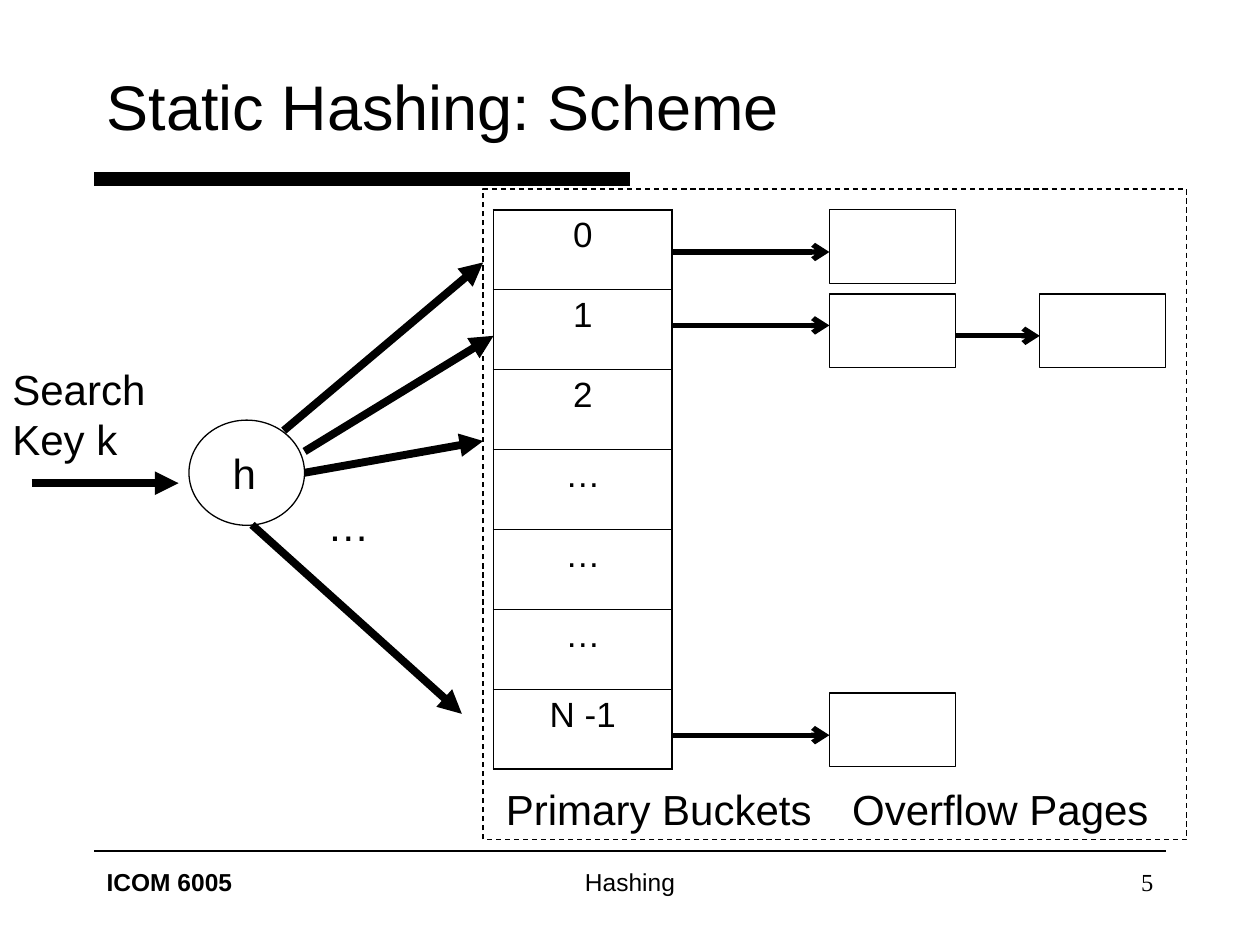
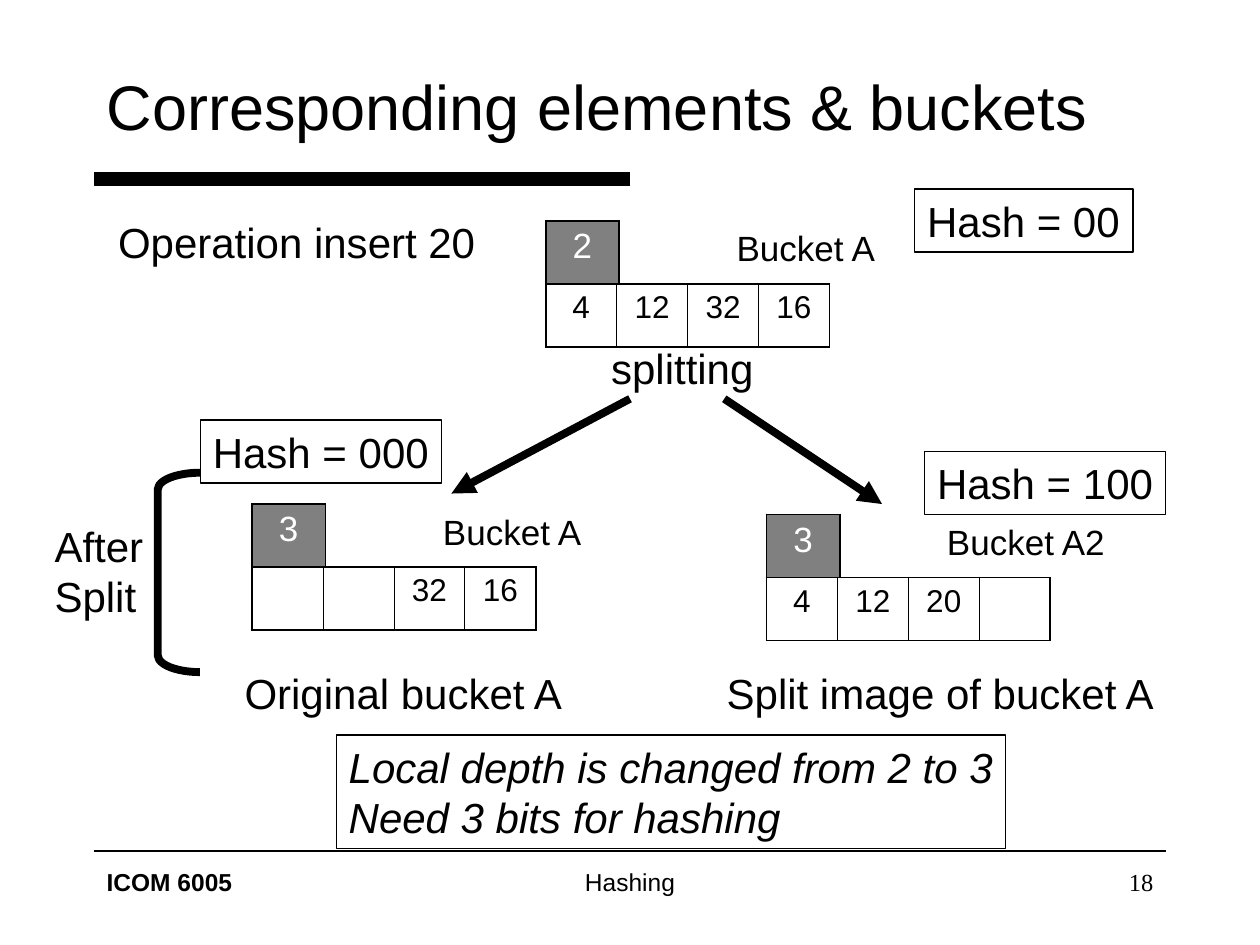
from lxml.etree import SubElement
from pptx import Presentation
from pptx.dml.color import RGBColor
from pptx.enum.dml import MSO_LINE
from pptx.enum.shapes import MSO_CONNECTOR, MSO_SHAPE
from pptx.enum.text import MSO_ANCHOR, MSO_AUTO_SIZE, PP_ALIGN
from pptx.oxml.ns import qn
from pptx.util import Cm, Pt

# All lengths are in centimetres, all text sizes and line widths in points.
INK, GREY, WHITE = "000000", "808080", "FFFFFF"
SANS, SERIF = "Arial", "Times New Roman"
LEFT, RIGHT = 1.9, 23.5
BAND = (LEFT, 3.6, 12.7, 3.6)
RULE = (LEFT, 17.15, RIGHT, 17.15)
FOOT_TOP, FOOT_HIGH = 17.36, 1.27
COURSE, TOPIC = "ICOM 6005", "Hashing"
LINE_HIGH = 1.27

# Static hashing
SLOTS = ["0", "1", "2", "…", "…", "…", "N -1"]
SLOT_AT, SLOT_SIZE = (9.95, 4.23), (3.6, 1.61)
HASH_NODE = (3.81, 8.47, 2.33, 2.12)
FRAME = (9.74, 3.81, 14.18, 13.12)
PAGE_SIZE = (2.54, 1.48)
PAGES = [(16.72, 4.23), (16.72, 5.93), (20.96, 5.93), (16.72, 13.97)]
CHAINS = [(13.55, 5.08, 16.72), (13.55, 6.56, 16.72),
          (13.55, 14.82, 16.72), (19.26, 6.77, 20.96)]
PROBES = [(0.64, 9.74, 3.6, 9.74), (5.72, 8.68, 9.74, 5.29),
          (6.14, 9.1, 9.95, 6.77), (6.14, 9.53, 9.74, 8.89),
          (5.08, 10.58, 9.31, 14.39)]
SCHEME_NOTES = [
    ("h", 4.44, 8.89, 0.97),
    ("Search\nKey k", 0, 7.2, 3.35),
    ("…", 6.35, 9.95, 1.35),
    ("Primary Buckets", 9.95, 15.66, 6.85),
    ("Overflow Pages", 16.93, 15.66, 6.48),
]

# Bucket split: depth, keys, corner, name, name's left and width
BUCKETS = [
    ("2", ["4", "12", "32", "16"], (11, 4.45), "Bucket A", 14.6, 3.33),
    ("3", ["", "", "32", "16"], (5.08, 10.16), "Bucket A", 8.68, 3.33),
    ("3", ["4", "12", "20", ""], (15.45, 10.37), "Bucket A2", 18.84, 3.73),
]
TAG_WIDE, KEY_WIDE, KEY_HIGH = 1.48, 1.43, 1.27
SPLITS = [(12.7, 8.04, 9.1, 9.95), (14.6, 8.04, 17.78, 10.16)]
BRACKET = (3.18, 9.53, 0.85, 4.02)
SPLIT_NOTES = [
    ("Operation insert 20", 2.13, 4.23, 7.7),
    ("After\nSplit", 0.85, 10.37, 2.29),
    ("Original bucket A", 4.68, 13.34, 6.96),
    ("Split image of bucket A", 14.4, 13.34, 9.17),
    ("splitting", 12.07, 6.77, 3.38),
]
HASHES = [
    ("Hash = 00", 18.44, 3.81, 4.4),
    ("Hash = 000", 4.04, 8.47, 4.86),
    ("Hash = 100", 18.64, 9.1, 4.86),
]
FINDING = ("Local depth is changed from 2 to 3\nNeed 3 bits for hashing",
           6.78, 14.82, 13.49)


def color(code):
    return RGBColor.from_string(code)


def box(*lengths):
    return [Cm(n) for n in lengths]


def style(frame, size, font=SANS, ink=INK, bold=False, italic=False,
          align=PP_ALIGN.LEFT):
    for para in frame.paragraphs:
        para.alignment = align
        for run in para.runs:
            face = run.font
            face.name, face.size = font, Pt(size)
            face.bold, face.italic = bold, italic
            face.color.rgb = color(ink)


def stroke(shape, width):
    shape.line.color.rgb = color(INK)
    shape.line.width = Pt(width)


def write(slide, text, x, y, wide, size=24, edge=False, **look):
    """Add an unwrapped label as tall as its lines, with an outline if edge."""
    high = LINE_HIGH + 1.02 * text.count("\n")
    label = slide.shapes.add_textbox(*box(x, y, wide, high))
    frame = label.text_frame
    frame.text = text
    frame.word_wrap = False
    frame.auto_size = MSO_AUTO_SIZE.SHAPE_TO_FIT_TEXT
    style(frame, size, **look)
    if edge:
        stroke(label, 0.75)


def line(slide, ends, width, head=None):
    link = slide.shapes.add_connector(MSO_CONNECTOR.STRAIGHT, *box(*ends))
    stroke(link, width)
    if head:
        SubElement(link.line._get_or_add_ln(), qn("a:tailEnd"), type=head)
    SubElement(link._element.spPr, qn("a:effectLst"))


def outline(slide, kind, place, width=0.75):
    shape = slide.shapes.add_shape(kind, *box(*place))
    shape.shadow.inherit = False
    shape.fill.background()
    stroke(shape, width)
    return shape


def border(cell, side, width):
    edge = SubElement(cell._tc.get_or_add_tcPr(), qn("a:ln" + side),
                      w=str(Pt(width)))
    fill = SubElement(edge, qn("a:solidFill"))
    SubElement(fill, qn("a:srgbClr"), val=INK)


def grid(slide, rows, corner, wide, high, size, ink=INK, fill=None):
    """Add a table of equal cells with a heavier outer edge."""
    tall, broad = len(rows), len(rows[0])
    table = slide.shapes.add_table(
        tall, broad, *box(*corner, wide * broad, high * tall)).table
    table.first_row = table.horz_banding = False
    for r, row in enumerate(rows):
        for c, text in enumerate(row):
            cell = table.cell(r, c)
            cell.text = text
            style(cell.text_frame, size, ink=ink, align=PP_ALIGN.CENTER)
            outer = {"L": c == 0, "R": c == broad - 1,
                     "T": r == 0, "B": r == tall - 1}
            for side, edge in outer.items():
                border(cell, side, 1.08 if edge else 0.45)
            if fill:
                cell.fill.solid()
                cell.fill.fore_color.rgb = color(fill)
            else:
                cell.fill.background()


def start(deck, title, number):
    """Add a slide with its title, band, rule and footer."""
    slide = deck.slides.add_slide(deck.slide_layouts[5])
    line(slide, BAND, 8)
    line(slide, RULE, 1)
    footer = [
        (COURSE, LEFT, 5.29, dict(bold=True)),
        (TOPIC, 8.68, 8.04, dict(align=PP_ALIGN.CENTER)),
        (number, 18.21, 5.29, dict(font=SERIF, align=PP_ALIGN.RIGHT)),
    ]
    for text, x, wide, look in footer:
        frame = slide.shapes.add_textbox(
            *box(x, FOOT_TOP, wide, FOOT_HIGH)).text_frame
        frame.text = text
        frame.word_wrap = True
        style(frame, 14, **look)
    head = slide.shapes.title
    head.left, head.top, head.width, head.height = box(LEFT, 0.85, 21.59, 2.54)
    head.text_frame.text = title
    head.text_frame.vertical_anchor = MSO_ANCHOR.MIDDLE
    style(head.text_frame, 36)
    return slide


def scheme(deck):
    slide = start(deck, "Static Hashing: Scheme", "5")
    grid(slide, [[slot] for slot in SLOTS], SLOT_AT, *SLOT_SIZE, 20)
    outline(slide, MSO_SHAPE.OVAL, HASH_NODE)
    for note in SCHEME_NOTES:
        write(slide, *note)
    for probe in PROBES:
        line(slide, probe, 4.5, "triangle")
    for corner in PAGES:
        outline(slide, MSO_SHAPE.RECTANGLE, corner + PAGE_SIZE)
    for x, y, end in CHAINS:
        line(slide, (x, y, end, y), 3, "arrow")
    frame = outline(slide, MSO_SHAPE.RECTANGLE, FRAME)
    frame.line.dash_style = MSO_LINE.DASH


def split(deck):
    slide = start(deck, "Corresponding elements & buckets", "18")
    for depth, keys, (x, y), name, left, wide in BUCKETS:
        grid(slide, [keys], (x, y + KEY_HIGH), KEY_WIDE, KEY_HIGH, 18)
        grid(slide, [[depth]], (x, y), TAG_WIDE, KEY_HIGH, 20, WHITE, GREY)
        write(slide, name, left, y, wide, size=20)
    for arrow in SPLITS:
        line(slide, arrow, 4.5, "triangle")
    bracket = outline(slide, MSO_SHAPE.LEFT_BRACKET, BRACKET, 4.5)
    bracket.adjustments[0] = 0.4
    for note in SPLIT_NOTES:
        write(slide, *note)
    write(slide, *FINDING, edge=True, italic=True)
    for label in HASHES:
        write(slide, *label, edge=True)


def main():
    deck = Presentation()
    deck.slide_width, deck.slide_height = box(25.4, 19.05)
    scheme(deck)
    split(deck)
    deck.save("out.pptx")


if __name__ == "__main__":
    main()
